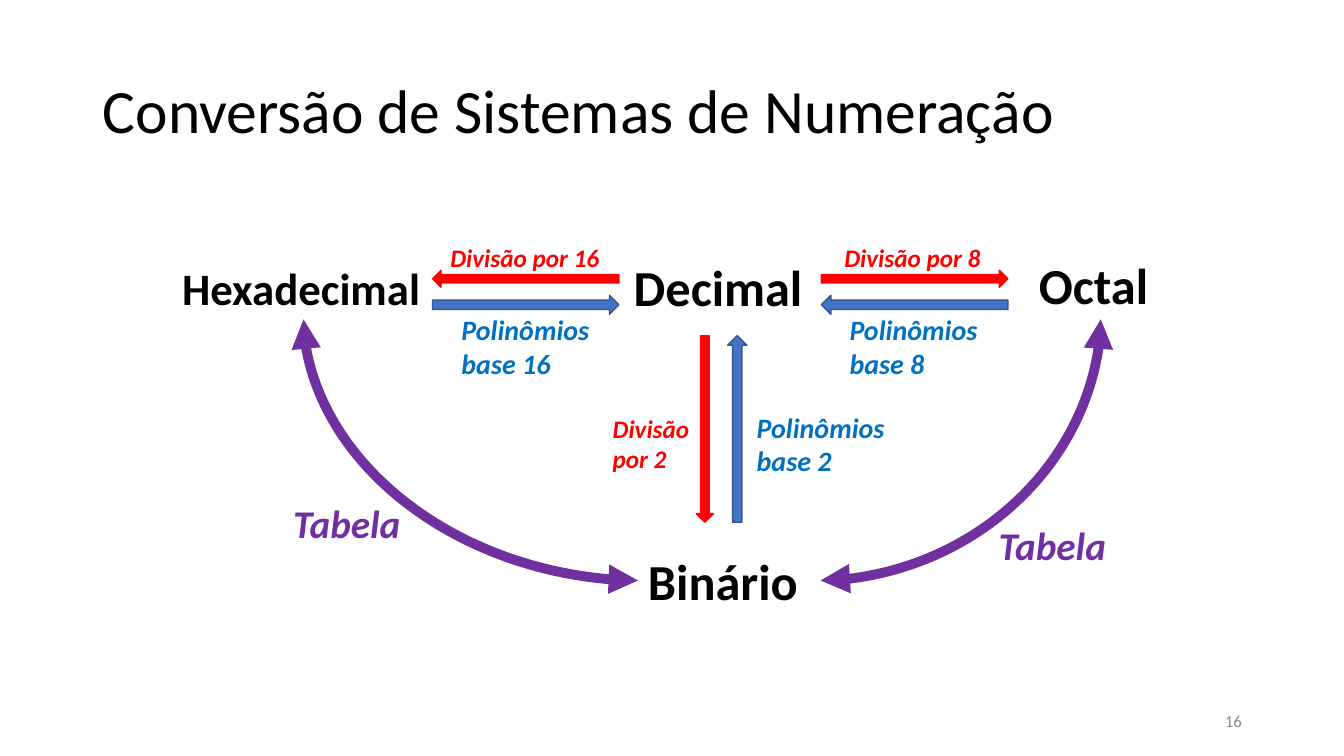
from lxml import etree
from pptx import Presentation
from pptx.dml.color import RGBColor
from pptx.enum.shapes import MSO_CONNECTOR, MSO_SHAPE
from pptx.enum.text import MSO_ANCHOR, MSO_AUTO_SIZE, PP_ALIGN
from pptx.oxml.ns import qn
from pptx.util import Cm, Pt

LEFT, RIGHT = MSO_SHAPE.LEFT_ARROW, MSO_SHAPE.RIGHT_ARROW
UP, DOWN = MSO_SHAPE.UP_ARROW, MSO_SHAPE.DOWN_ARROW
CURVE = MSO_CONNECTOR.CURVE
MIDDLE, ALIGN_RIGHT = MSO_ANCHOR.MIDDLE, PP_ALIGN.RIGHT
GROW = MSO_AUTO_SIZE.SHAPE_TO_FIT_TEXT

COLORS = {"black": "000000", "red": "FF0000", "blue": "4472C4", "blue_edge": "325491",
          "blue_text": "0070C0", "purple": "7030A0", "gray": "8C8C8C"}

STYLES = {
    "system": {"size": Pt(36), "bold": True, "color": "black"},
    "long_system": {"size": Pt(32), "bold": True, "color": "black"},
    "division": {"size": Pt(18), "bold": True, "italic": True, "color": "red"},
    "polynomial": {"size": Pt(20), "bold": True, "italic": True, "color": "blue_text"},
    "table": {"size": Pt(28), "bold": True, "italic": True, "color": "purple"},
    "title": {"size": Pt(44), "color": "black"},
    "number": {"size": Pt(12), "color": "gray"},
}

TITLE = ("Conversão de Sistemas de Numeração", "title", (2.34, 1.02, 29.21, 3.68), True)
NUMBER = ("16", "number", (23.93, 17.65, 7.62, 1.02), True)

# text, style, (left, top, width, height) in cm, wrap
LABELS = [
    ("Hexadecimal", "long_system", (4.34, 6.45, 6.6, 1.63), False),
    ("Decimal", "system", (15.72, 6.32, 5.11, 1.8), False),
    ("Octal", "system", (25.93, 6.27, 3.61, 1.8), False),
    ("Binário", "system", (16.08, 13.74, 4.62, 1.8), False),
    ("Divisão por 16", "division", (11.1, 5.97, 4.32, 1.02), False),
    ("Divisão por 8", "division", (21.03, 5.97, 3.99, 1.02), False),
    ("Divisão por 2", "division", (15.19, 10.29, 2.46, 1.8), True),
    ("Polinômios base 16", "polynomial", (11.38, 7.75, 3.86, 1.96), True),
    ("Polinômios base 8", "polynomial", (21.16, 7.75, 4.22, 1.96), True),
    ("Polinômios base 2", "polynomial", (18.82, 10.21, 4.37, 1.96), True),
    ("Tabela", "table", (7.14, 12.45, 3.33, 1.45), False),
    ("Tabela", "table", (24.92, 13.0, 3.33, 1.45), False),
]

# direction, left, top, kind
ARROWS = [
    (LEFT, 10.9, 6.81, "division"),
    (RIGHT, 10.9, 7.44, "polynomial"),
    (RIGHT, 20.7, 6.81, "division"),
    (LEFT, 20.7, 7.44, "polynomial"),
    (DOWN, 17.55, 8.46, "division"),
    (UP, 18.34, 8.46, "polynomial"),
]
ARROW_LENGTH = 4.7
# thickness, fill, line
ARROW_KINDS = {"division": (0.43, "red", "red"), "polynomial": (0.48, "blue", "blue_edge")}

BINARY_Y, SYSTEMS_Y = 14.63, 8.05
# x beside Binário, x under the other system
CURVES = [(16.08, 7.65), (20.68, 27.74)]


def rgb(name):
    return RGBColor.from_string(COLORS[name])


def add_text(s, text, style, box, wrap):
    tf = s.shapes.add_textbox(*map(Cm, box)).text_frame
    tf.word_wrap = wrap
    p = tf.paragraphs[0]
    r = p.add_run()
    r.text = text
    r.font.name = "Calibri"
    for key, value in STYLES[style].items():
        if key == "color":
            r.font.color.rgb = rgb(value)
        else:
            setattr(r.font, key, value)
    return tf


def add_arrow(s, direction, left, top, kind):
    thickness, fill, line = ARROW_KINDS[kind]
    size = (thickness, ARROW_LENGTH) if direction in (UP, DOWN) else (ARROW_LENGTH, thickness)
    sp = s.shapes.add_shape(direction, *map(Cm, (left, top, *size)))
    sp.shadow.inherit = False
    sp.fill.solid()
    sp.fill.fore_color.rgb = rgb(fill)
    sp.line.color.rgb = rgb(line)
    sp.line.width = Pt(1)


def add_curve(s, binary_x, system_x):
    """Draw a quarter curve that leaves Binário sideways and has two heads."""
    cxn = s.shapes.add_connector(CURVE, *map(Cm, (binary_x, BINARY_Y, system_x, SYSTEMS_Y)))
    cxn.line.color.rgb = rgb("purple")
    cxn.line.width = Pt(7)
    sp_pr = cxn.line._get_or_add_ln().getparent()
    sp_pr.find(qn("a:prstGeom")).set("prst", "curvedConnector2")
    ln = sp_pr.find(qn("a:ln"))
    for end in ("a:headEnd", "a:tailEnd"):
        etree.SubElement(ln, qn(end), type="triangle")
    etree.SubElement(sp_pr, qn("a:effectLst"))


def main():
    prs = Presentation()
    prs.slide_width, prs.slide_height = Cm(33.87), Cm(19.05)
    s = prs.slides.add_slide(prs.slide_layouts[6])

    tf = add_text(s, *TITLE)
    tf.vertical_anchor = MIDDLE
    tf.paragraphs[0].line_spacing = 0.9

    for label in LABELS:
        add_text(s, *label).auto_size = GROW
    for arrow in ARROWS:
        add_arrow(s, *arrow)
    for curve in CURVES:
        add_curve(s, *curve)

    tf = add_text(s, *NUMBER)
    tf.vertical_anchor = MIDDLE
    tf.paragraphs[0].alignment = ALIGN_RIGHT

    prs.save("out.pptx")


if __name__ == "__main__":
    main()
